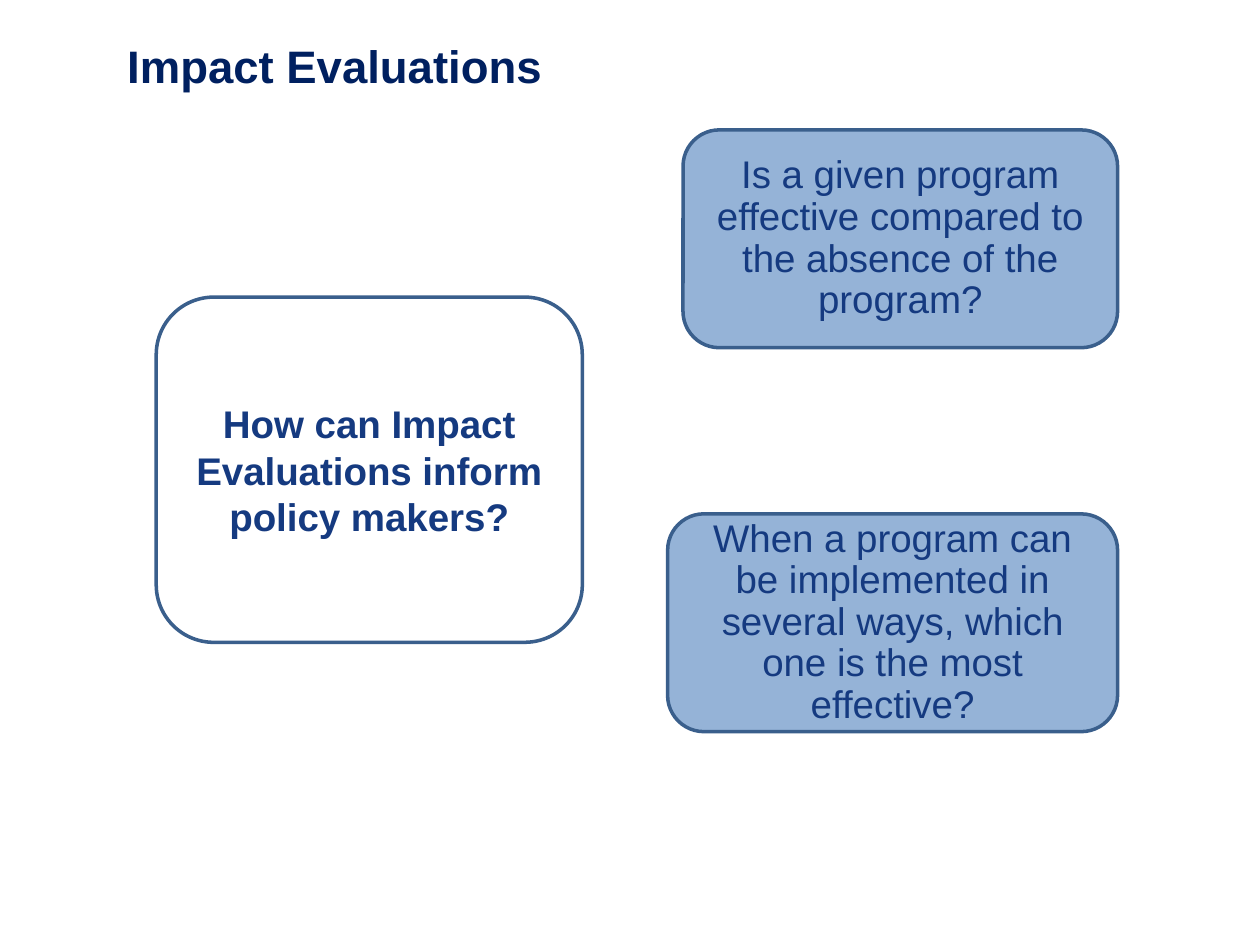
"""Build the Impact Evaluations slide: one question and two answers."""
from lxml import etree
from pptx import Presentation
from pptx.dml.color import RGBColor
from pptx.enum.shapes import MSO_SHAPE
from pptx.enum.text import MSO_ANCHOR, MSO_AUTO_SIZE, PP_ALIGN
from pptx.oxml.ns import qn
from pptx.util import Cm, Pt

ROUNDED = MSO_SHAPE.ROUNDED_RECTANGLE
TOP, MIDDLE = MSO_ANCHOR.TOP, MSO_ANCHOR.MIDDLE
LEFT, CENTER = PP_ALIGN.LEFT, PP_ALIGN.CENTER
NO_AUTOFIT = MSO_AUTO_SIZE.NONE

NAVY = RGBColor(0x00, 0x20, 0x60)
BLUE = RGBColor(0x15, 0x3A, 0x80)
OUTLINE = RGBColor(0x3A, 0x5F, 0x8C)
LIGHT_BLUE = RGBColor(0x95, 0xB3, 0xD7)

TITLE = "Impact Evaluations"
TITLE_BOX = (2.31, 0.76, 21.89, 3.68)
QUESTION = "How can Impact Evaluations inform policy makers?"
QUESTION_BOX = (3.15, 5.99, 8.59, 6.96)
ANSWERS = [
    ("Is a given program effective compared to the absence of the program?", 13.77, 2.62),
    ("When a program can be implemented in several ways, which one is the most effective?",
     13.46, 10.36),
]
ANSWER_RIGHT, ANSWER_HEIGHT = 22.53, 4.39

TITLE_FONT = {"name": "Arial", "size": Pt(26), "bold": True}
QUESTION_FONT = {"name": "Arial", "size": Pt(22), "bold": True}
ANSWER_FONT = {"name": "Arial", "size": Pt(22), "bold": False}
TITLE_FRAME = {"vertical_anchor": TOP, "word_wrap": True, "auto_size": NO_AUTOFIT}
BOX_FRAME = {"vertical_anchor": MIDDLE, "word_wrap": True, "auto_size": NO_AUTOFIT,
             "margin_left": Cm(0.38), "margin_right": Cm(0.38)}
TITLE_PARAGRAPH = {"alignment": LEFT, "line_spacing": 0.9}
QUESTION_PARAGRAPH = {"alignment": CENTER}
ANSWER_PARAGRAPH = {"alignment": CENTER, "line_spacing": 0.9, "space_before": Pt(10)}


def apply(target, values):
    """Set every attribute named in the dict."""
    for name, value in values.items():
        setattr(target, name, value)


def place(shape, box):
    """Move and size a shape, in centimetres."""
    apply(shape, dict(zip(("left", "top", "width", "height"), map(Cm, box))))


def write(shape, text, frame, paragraph_format, font, color):
    """Fill a shape with one formatted paragraph and return the paragraph."""
    shape.text_frame.text = text
    apply(shape.text_frame, frame)
    paragraph = shape.text_frame.paragraphs[0]
    apply(paragraph, paragraph_format)
    run_font = paragraph.runs[0].font
    apply(run_font, font)
    run_font.color.rgb = color
    return paragraph


def outline(shape):
    """Draw the common border."""
    shape.line.color.rgb = OUTLINE
    shape.line.width = Pt(2)


def add_question(placeholder):
    """Turn the body placeholder into the rounded question box."""
    place(placeholder, QUESTION_BOX)
    geometry = etree.SubElement(placeholder.element.spPr, qn("a:prstGeom"), prst="roundRect")
    etree.SubElement(geometry, qn("a:avLst"))
    outline(placeholder)
    paragraph = write(placeholder, QUESTION, BOX_FRAME, QUESTION_PARAGRAPH, QUESTION_FONT, BLUE)
    properties = paragraph._p.get_or_add_pPr()
    properties.set("marL", "0")
    properties.set("indent", "0")
    etree.SubElement(properties, qn("a:buNone"))


def add_answer(slide, text, left, top):
    """Add one filled answer box ending at the common right edge."""
    box = (left, top, ANSWER_RIGHT - left, ANSWER_HEIGHT)
    shape = slide.shapes.add_shape(ROUNDED, *map(Cm, box))
    shape.shadow.inherit = False
    shape.fill.solid()
    shape.fill.fore_color.rgb = LIGHT_BLUE
    outline(shape)
    write(shape, text, BOX_FRAME, ANSWER_PARAGRAPH, ANSWER_FONT, BLUE)


def main():
    """Create the slide and save it."""
    presentation = Presentation()
    presentation.slide_width, presentation.slide_height = Cm(25.4), Cm(19.05)
    slide = presentation.slides.add_slide(presentation.slide_layouts[1])
    title = slide.shapes.title
    place(title, TITLE_BOX)
    write(title, TITLE, TITLE_FRAME, TITLE_PARAGRAPH, TITLE_FONT, NAVY)
    add_question(slide.placeholders[1])
    for answer in ANSWERS:
        add_answer(slide, *answer)
    presentation.save("out.pptx")


if __name__ == "__main__":
    main()
